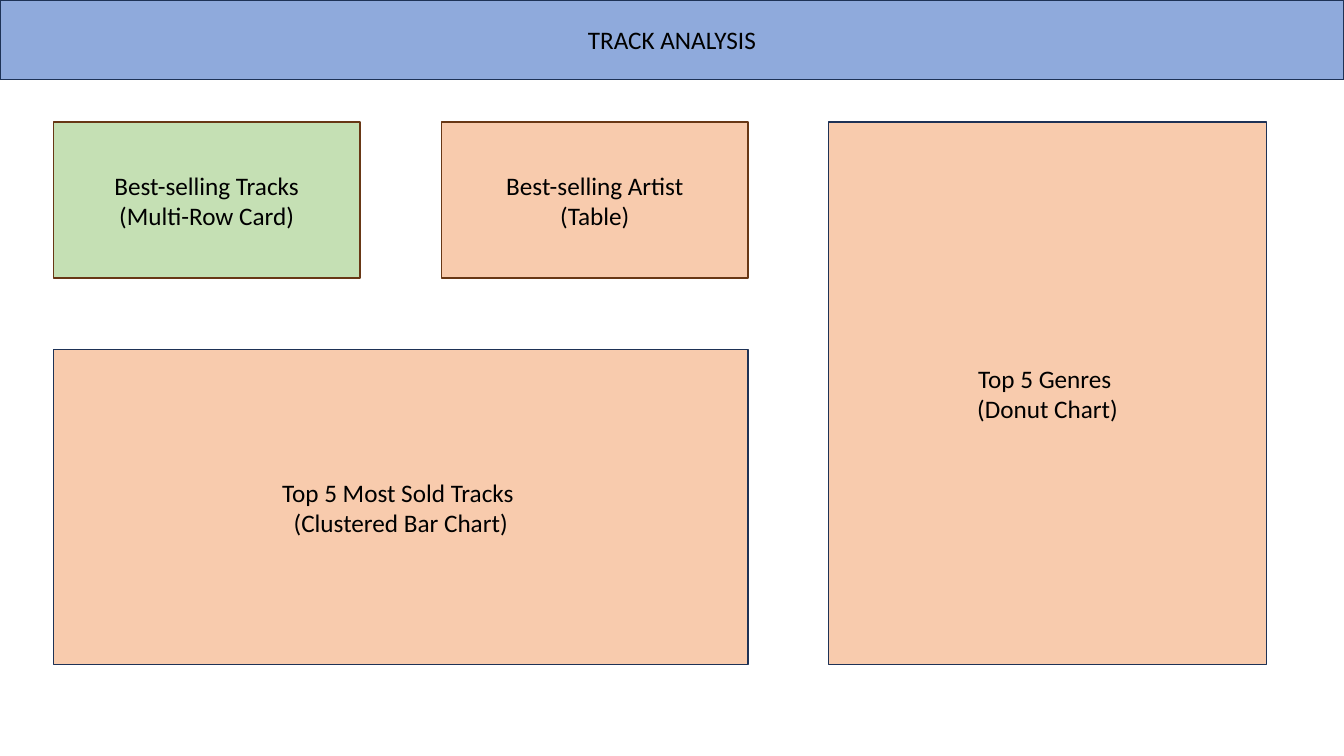
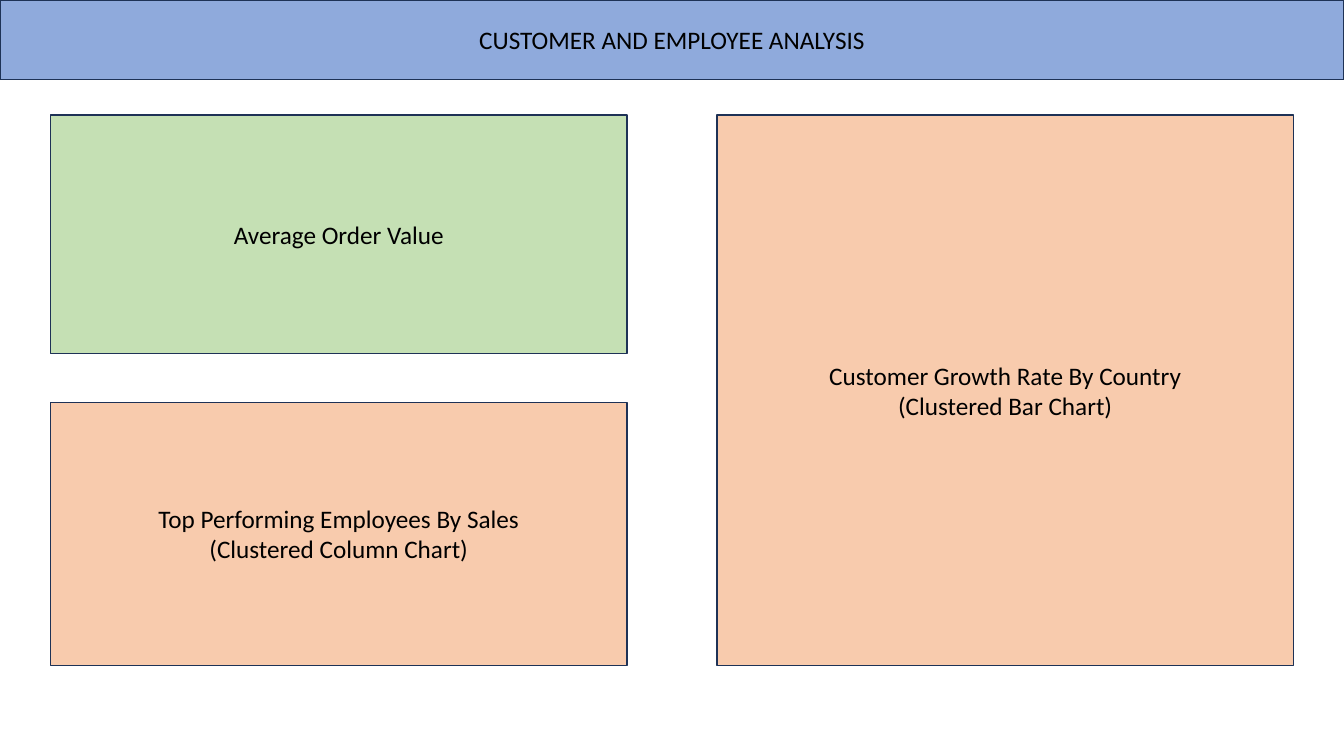
from pptx import Presentation
from pptx.dml.color import RGBColor
from pptx.enum import shapes, text
from pptx.util import Inches, Pt

COLORS = {
    "band": "8FAADC",
    "card": "C5E0B4",
    "chart": "F8CBAD",
    "navy": "1E3256",
    "brown": "683715",
    "text": "000000",
}
FONT = "Calibri"
SLIDE_WIDTH, SLIDE_HEIGHT, BAND_HEIGHT = 13.33, 7.5, 0.79

SLIDES = [
    ("TRACK ANALYSIS", [
        ("Top 5 Most Sold Tracks \n(Clustered Bar Chart)", 0.53, 3.47, 6.89, 3.12, "chart", "navy"),
        ("Best-selling Tracks\n(Multi-Row Card)", 0.53, 1.21, 3.04, 1.55, "card", "brown"),
        ("Best-selling Artist\n(Table)", 4.38, 1.21, 3.04, 1.55, "chart", "brown"),
        ("Top 5 Genres \n(Donut Chart)", 8.22, 1.21, 4.34, 5.38, "chart", "navy"),
    ]),
    ("CUSTOMER AND EMPLOYEE ANALYSIS", [
        ("Average Order Value", 0.5, 1.14, 5.72, 2.37, "card", "navy"),
        ("Customer Growth Rate By Country\n(Clustered Bar Chart)", 7.11, 1.14, 5.72, 5.46, "chart", "navy"),
        ("Top Performing Employees By Sales\n(Clustered Column Chart)", 0.5, 3.99, 5.72, 2.61, "chart", "navy"),
    ]),
]


def style_box(box, label, fill, line):
    box.fill.solid()
    box.fill.fore_color.rgb = RGBColor.from_string(COLORS[fill])
    box.line.color.rgb = RGBColor.from_string(COLORS[line])
    box.line.width = Pt(1)
    frame = box.text_frame
    frame.text = label
    frame.word_wrap = True
    frame.auto_size = text.MSO_AUTO_SIZE.NONE
    frame.vertical_anchor = text.MSO_ANCHOR.MIDDLE
    for para in frame.paragraphs:
        para.alignment = text.PP_ALIGN.CENTER
        for span in para.runs:
            span.font.name = FONT
            span.font.size = Pt(18)
            span.font.color.rgb = RGBColor.from_string(COLORS["text"])


deck = Presentation()
deck.slide_width = Inches(SLIDE_WIDTH)
deck.slide_height = Inches(SLIDE_HEIGHT)
title_only = deck.slide_layouts[5]

for heading, panels in SLIDES:
    page = deck.slides.add_slide(title_only)
    title = page.shapes.title
    title.left, title.top = Inches(0), Inches(0)
    title.width, title.height = Inches(SLIDE_WIDTH), Inches(BAND_HEIGHT)
    style_box(title, heading, "band", "navy")

    for label, left, top, width, height, fill, line in panels:
        panel = page.shapes.add_shape(
            shapes.MSO_SHAPE.RECTANGLE,
            Inches(left), Inches(top), Inches(width), Inches(height),
        )
        panel.shadow.inherit = False
        style_box(panel, label, fill, line)

deck.save("out.pptx")
